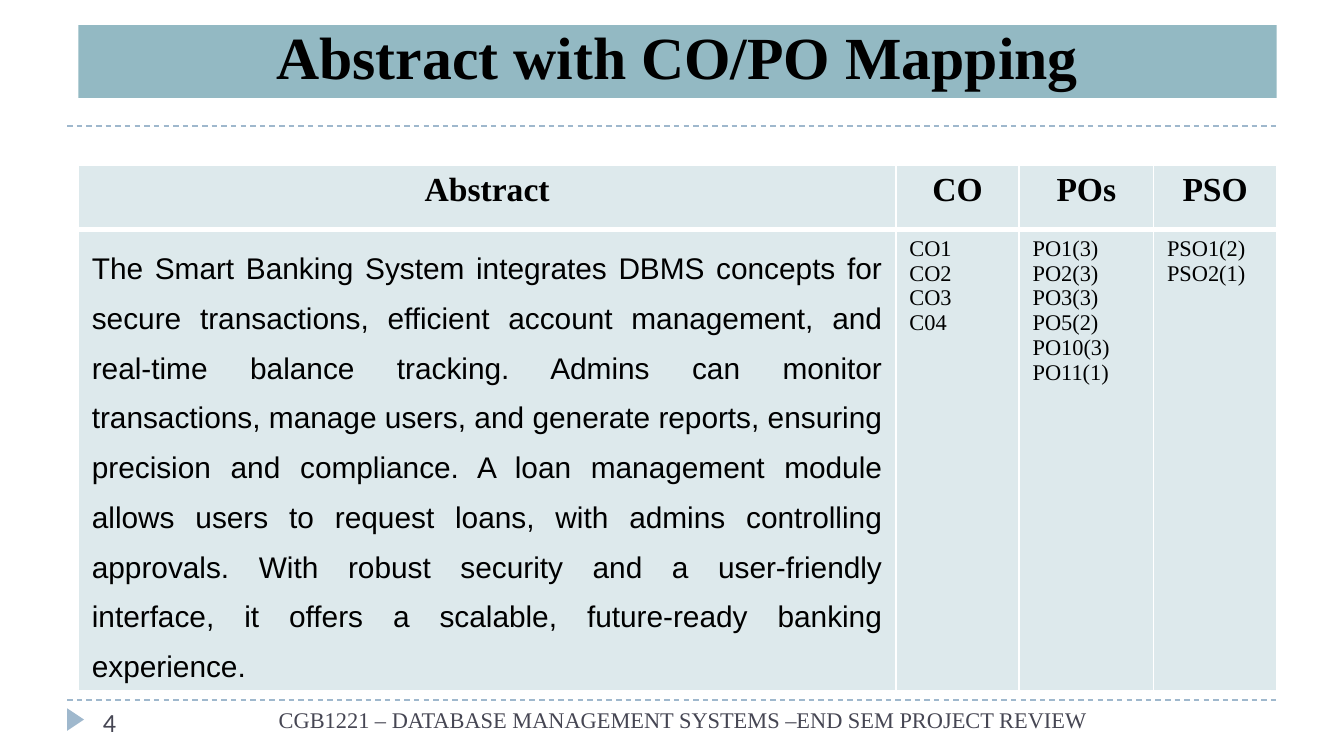
"""Builds the abstract slide with its CO/PO mapping table."""
from lxml.etree import SubElement
from pptx import Presentation
from pptx.dml.color import RGBColor
from pptx.enum.dml import MSO_LINE
from pptx.enum.shapes import MSO_CONNECTOR, MSO_SHAPE
from pptx.enum.text import MSO_ANCHOR, MSO_AUTO_SIZE, PP_ALIGN
from pptx.oxml.ns import qn
from pptx.util import Pt

PX = 9525
COLORS = {"rule": "9FB8CD", "title": "93B9C3", "cell": "DDE9EC",
          "text": "000000", "footer": "464653", "border": "FFFFFF"}
SERIF = "Times New Roman"


def format_text(tf, size, font, color, align=PP_ALIGN.LEFT, bold=False):
    for p in tf.paragraphs:
        p.alignment = align
        for r in p.runs:
            r.font.size = Pt(size)
            r.font.name = font
            r.font.bold = bold
            r.font.color.rgb = RGBColor.from_string(COLORS[color])


def set_borders(cell, bottom):
    tcPr = cell._tc.get_or_add_tcPr()
    for side, width in (("L", 1), ("R", 1), ("T", 1), ("B", bottom)):
        ln = SubElement(tcPr, qn(f"a:ln{side}"), w=str(Pt(width)))
        fill = SubElement(ln, qn("a:solidFill"))
        SubElement(fill, qn("a:srgbClr"), val=COLORS["border"])


prs = Presentation()
prs.slide_width, prs.slide_height = 960 * PX, 540 * PX
s = prs.slides.add_slide(prs.slide_layouts[5])

for y in (500, 90):
    rule = s.shapes.add_connector(MSO_CONNECTOR.STRAIGHT, 48 * PX, y * PX, 912 * PX, y * PX)
    rule.line.color.rgb = RGBColor.from_string(COLORS["rule"])
    rule.line.width = Pt(0.75)
    rule.line.dash_style = MSO_LINE.DASH
    SubElement(rule._element.spPr, qn("a:effectLst"))

marker = s.shapes.add_shape(MSO_SHAPE.ISOSCELES_TRIANGLE, 46 * PX, 508 * PX, 16 * PX, 12 * PX)
marker.rotation = 90
marker.shadow.inherit = False
marker.fill.solid()
marker.fill.fore_color.rgb = RGBColor.from_string(COLORS["rule"])
marker.line.fill.background()

title = s.shapes.title
title.left, title.top, title.width, title.height = 56 * PX, 18 * PX, 856 * PX, 52 * PX
title.fill.solid()
title.fill.fore_color.rgb = RGBColor.from_string(COLORS["title"])
tf = title.text_frame
tf.text = "Abstract with CO/PO Mapping"
tf.auto_size = MSO_AUTO_SIZE.NONE
tf.vertical_anchor = MSO_ANCHOR.BOTTOM
format_text(tf, 32, SERIF, "text", PP_ALIGN.CENTER, True)

abstract = (
    "The Smart Banking System integrates DBMS concepts for secure transactions, "
    "efficient account management, and real-time balance tracking. Admins can monitor "
    "transactions, manage users, and generate reports, ensuring precision and compliance. "
    "A loan management module allows users to request loans, with admins controlling "
    "approvals. With robust security and a user-friendly interface, it offers a scalable, "
    "future-ready banking experience."
)
columns = [
    ("Abstract", 584, abstract),
    ("CO", 88, "CO1\nCO2\nCO3\nC04"),
    ("POs", 96, "PO1(3)\nPO2(3)\nPO3(3)\nPO5(2)\nPO10(3)\nPO11(1)"),
    ("PSO", 88, "PSO1(2)\nPSO2(1)"),
]
table = s.shapes.add_table(2, len(columns), 56 * PX, 118 * PX, 856 * PX, 340 * PX).table
table.rows[0].height, table.rows[1].height = 46 * PX, 294 * PX
for col, (heading, width, body) in enumerate(columns):
    table.columns[col].width = width * PX
    for row, text in enumerate((heading, body)):
        cell = table.cell(row, col)
        cell.text = text
        set_borders(cell, 1 if row else 3)
        cell.fill.solid()
        cell.fill.fore_color.rgb = RGBColor.from_string(COLORS["cell"])
        if row == 0:
            format_text(cell.text_frame, 18, SERIF, "text", PP_ALIGN.CENTER, True)
        elif col == 0:
            format_text(cell.text_frame, 16, "Arial", "text", PP_ALIGN.JUSTIFY)
            cell.text_frame.paragraphs[0].line_spacing = 1.5
        else:
            format_text(cell.text_frame, 12, SERIF, "text")

footers = [
    ("4", 64, 208, 29, 14, "Calibri", PP_ALIGN.LEFT),
    ("CGB1221 – DATABASE MANAGEMENT SYSTEMS –END SEM PROJECT REVIEW",
     178, 620, 40, 12, SERIF, PP_ALIGN.CENTER),
]
for text, x, w, h, size, font, align in footers:
    tf = s.shapes.add_textbox(x * PX, 500 * PX, w * PX, h * PX).text_frame
    tf.word_wrap = True
    tf.text = text
    format_text(tf, size, font, "footer", align)

prs.save("out.pptx")
